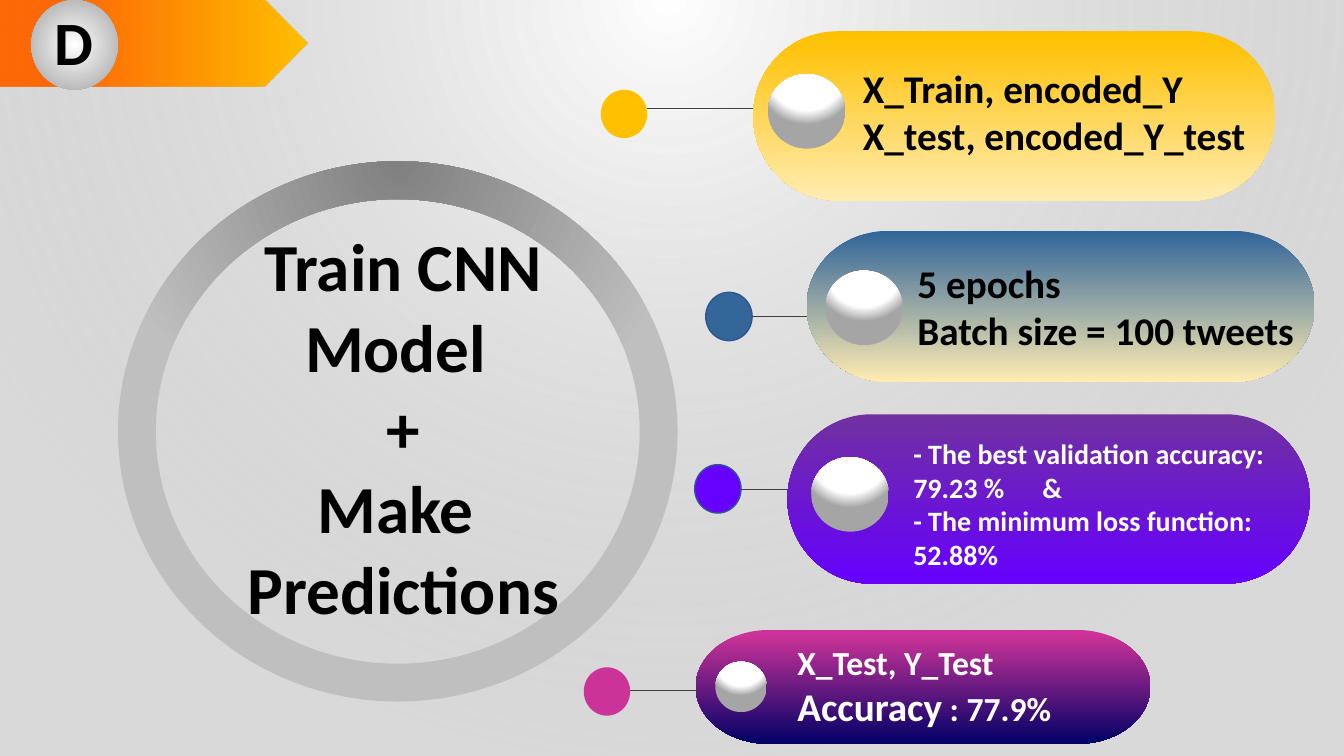
"""Builds the slide on training a CNN model and its four result cards."""
from dataclasses import dataclass
from typing import Optional

from lxml.etree import SubElement
from pptx import Presentation
from pptx.dml.color import RGBColor
from pptx.enum.shapes import MSO_CONNECTOR, MSO_SHAPE as Preset
from pptx.enum.text import MSO_ANCHOR, MSO_AUTO_SIZE, PP_ALIGN as Align
from pptx.oxml.ns import qn
from pptx.util import Pt

PX = 9144
FONT = "Calibri"
DOT_SIZE = (46, 48)
LINK_LENGTH = 198
BALL_TURN = 93.3
TAB_STOP = 128
COLOURS = {
    "black": "000000", "white": "FFFFFF", "silver": "A5A5A5", "grey": "808080",
    "pale grey": "BFBFBF", "charcoal": "404040", "orange": "FF6600",
    "gold": "FFC000", "cream": "FFECB2", "steel": "336699", "navy": "325491",
    "purple": "7030A0", "violet": "6600FF", "pink": "CC3399", "midnight": "000066",
}
ABOVE = (50, -80, 50, 180)
CENTRE = (50, 50, 50, 50)


@dataclass(frozen=True)
class Frame:
    left: int
    top: int
    width: int
    height: int

    def emu(self) -> tuple[int, ...]:
        return tuple(n * PX for n in (self.left, self.top, self.width, self.height))


@dataclass(frozen=True)
class Stop:
    place: int
    colour: str
    opacity: int = 100


@dataclass(frozen=True)
class Gradient:
    stops: tuple[Stop, ...]
    angle: int = 0
    focus: Optional[tuple[int, int, int, int]] = None


@dataclass(frozen=True)
class Span:
    text: str
    size: int


@dataclass(frozen=True)
class Card:
    frame: Frame
    shade: Gradient
    dot: tuple[int, int]
    dot_colour: str
    dot_outline: Optional[str]
    link_top: int
    ball: Frame
    text_frame: Frame
    text_colour: str
    lines: tuple[tuple[Span, ...], ...]


def downward(start: int, first: str, last: str) -> Gradient:
    return Gradient((Stop(start, first), Stop(100, last)), angle=90)


BACKDROP = Gradient((Stop(0, "white"), Stop(100, "silver", 41)), focus=ABOVE)
RIBBON = Gradient((Stop(22, "orange", 97), Stop(100, "gold")))
BADGE = Gradient((Stop(0, "white"), Stop(95, "silver")), focus=CENTRE)
RING = Gradient((Stop(0, "grey"), Stop(77, "pale grey")), focus=ABOVE)
BALL = Gradient((Stop(68, "white"), Stop(93, "silver")), focus=ABOVE)

HEADING = tuple((Span(text, 48),) for text in
                ("Train CNN Model ", "+", "Make ", "Predictions"))
CARDS = (
    Card(Frame(747, 31, 518, 168), downward(1, "gold", "cream"),
         (596, 89), "gold", None, 108,
         Frame(763, 72, 74, 77), Frame(846, 59, 412, 104), "black",
         ((Span("X_Train, encoded_Y", 28),), (Span("X_test, encoded_Y_test", 28),))),
    Card(Frame(800, 229, 504, 150), downward(1, "steel", "cream"),
         (700, 290), "steel", "navy", 314,
         Frame(820, 267, 74, 77), Frame(900, 252, 419, 104), "black",
         ((Span("5 epochs", 28),), (Span("Batch size = 100 tweets", 28),))),
    Card(Frame(781, 411, 518, 168), downward(1, "purple", "violet"),
         (689, 461), "violet", "navy", 485,
         Frame(806, 452, 74, 77), Frame(896, 428, 368, 145), "white",
         ((Span("- The best validation accuracy: 79.23 %\t&", 20),),
          (Span("- The minimum loss function: 52.88%", 20),))),
    Card(Frame(690, 625, 451, 113), downward(4, "pink", "midnight"),
         (579, 662), "pink", None, 685,
         Frame(710, 656, 50, 51), Frame(781, 632, 327, 98), "white",
         ((Span("X_Test, Y_Test", 24),),
          (Span("Accuracy", 28), Span(" : 77.9%", 24)))),
)


def rgb(name: str) -> RGBColor:
    return RGBColor.from_string(COLOURS[name])


def paint_gradient(shape, gradient: Gradient) -> None:
    shape.fill.solid()
    properties = shape._element.spPr
    solid = properties.find(qn("a:solidFill"))
    fill = SubElement(properties, qn("a:gradFill"), rotWithShape="0")
    properties.replace(solid, fill)
    stops = SubElement(fill, qn("a:gsLst"))
    for stop in gradient.stops:
        mark = SubElement(stops, qn("a:gs"), pos=str(stop.place * 1000))
        colour = SubElement(mark, qn("a:srgbClr"), val=COLOURS[stop.colour])
        if stop.opacity < 100:
            SubElement(colour, qn("a:alpha"), val=str(stop.opacity * 1000))
    if gradient.focus:
        route = SubElement(fill, qn("a:path"), {"path": "circle"})
        sides = {side: str(n * 1000) for side, n in zip("ltrb", gradient.focus)}
        SubElement(route, qn("a:fillToRect"), sides)
    else:
        SubElement(fill, qn("a:lin"), ang=str(gradient.angle * 60000), scaled="0")


def add_figure(page, preset: Preset, frame: Frame, paint: Gradient | str,
               outline: Optional[str] = None):
    shape = page.shapes.add_shape(preset, *frame.emu())
    shape.shadow.inherit = False
    if isinstance(paint, Gradient):
        paint_gradient(shape, paint)
    else:
        shape.fill.solid()
        shape.fill.fore_color.rgb = rgb(paint)
    if outline:
        shape.line.color.rgb = rgb(outline)
        shape.line.width = Pt(1)
    else:
        shape.line.fill.background()
    return shape


def write_lines(box, lines: tuple[tuple[Span, ...], ...], colour: str,
                align: Align = Align.LEFT) -> None:
    frame = box.text_frame
    frame.word_wrap = True
    frame.auto_size = MSO_AUTO_SIZE.SHAPE_TO_FIT_TEXT
    frame.vertical_anchor = MSO_ANCHOR.TOP
    for index, line in enumerate(lines):
        para = frame.add_paragraph() if index else frame.paragraphs[0]
        para.alignment = align
        for span in line:
            run = para.add_run()
            run.text = span.text
            run.font.name = FONT
            run.font.size = Pt(span.size)
            run.font.bold = True
            run.font.color.rgb = rgb(colour)
            if "\t" in span.text:
                tabs = SubElement(para._p.get_or_add_pPr(), qn("a:tabLst"))
                SubElement(tabs, qn("a:tab"), pos=str(TAB_STOP * PX), algn="l")


def add_link(page, left: int, top: int) -> None:
    ends = (n * PX for n in (left, top, left + LINK_LENGTH, top))
    link = page.shapes.add_connector(MSO_CONNECTOR.STRAIGHT, *ends)
    link.line.color.rgb = rgb("charcoal")
    link.line.width = Pt(0.5)
    SubElement(link._element.spPr, qn("a:effectLst"))


def add_card(page, card: Card) -> None:
    add_figure(page, Preset.OVAL, Frame(*card.dot, *DOT_SIZE),
               card.dot_colour, card.dot_outline)
    add_link(page, card.dot[0] + DOT_SIZE[0], card.link_top)
    add_figure(page, Preset.FLOWCHART_TERMINATOR, card.frame, card.shade)
    add_figure(page, Preset.OVAL, card.ball, BALL).rotation = BALL_TURN
    box = page.shapes.add_textbox(*card.text_frame.emu())
    write_lines(box, card.lines, card.text_colour)


def add_heading(page, frame: Frame) -> None:
    title = page.shapes.title
    title.left, title.top, title.width, title.height = frame.emu()
    write_lines(title, HEADING, "black", Align.CENTER)
    page.shapes._spTree.append(title._element)


def main() -> None:
    deck = Presentation()
    deck.slide_width, deck.slide_height = 1333 * PX, 750 * PX
    page = deck.slides.add_slide(deck.slide_layouts[5])
    add_figure(page, Preset.RECTANGLE, Frame(-8, 0, 1342, 750), BACKDROP)
    add_figure(page, Preset.PENTAGON, Frame(0, 0, 305, 86), RIBBON)
    add_figure(page, Preset.OVAL, Frame(31, 0, 86, 89), BADGE)
    letter = page.shapes.add_textbox(*Frame(44, -1, 43, 84).emu())
    write_lines(letter, ((Span("D", 44),),), "black")
    for card in CARDS:
        add_card(page, card)
    ring = add_figure(page, Preset.DONUT, Frame(117, 160, 555, 536), RING)
    ring.adjustments[0] = 0.07
    add_heading(page, Frame(199, 218, 402, 444))
    deck.save("out.pptx")


if __name__ == "__main__":
    main()
